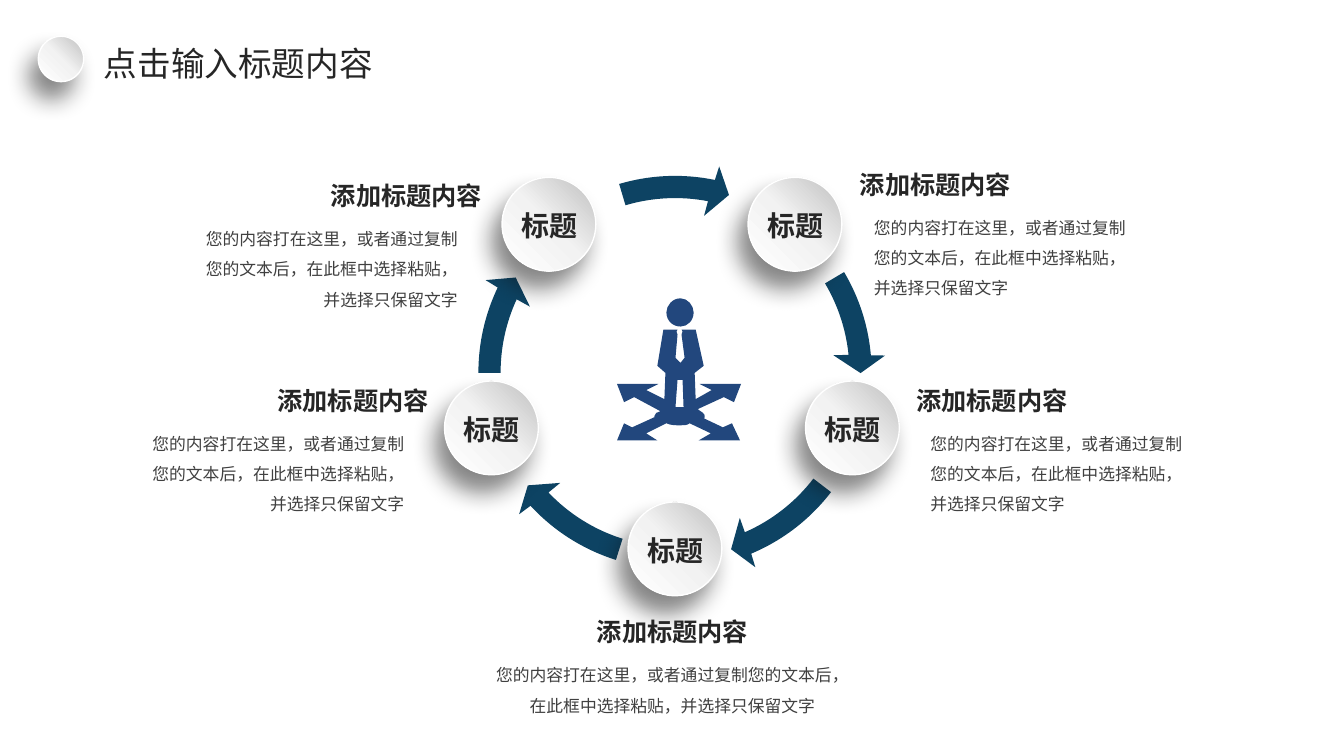
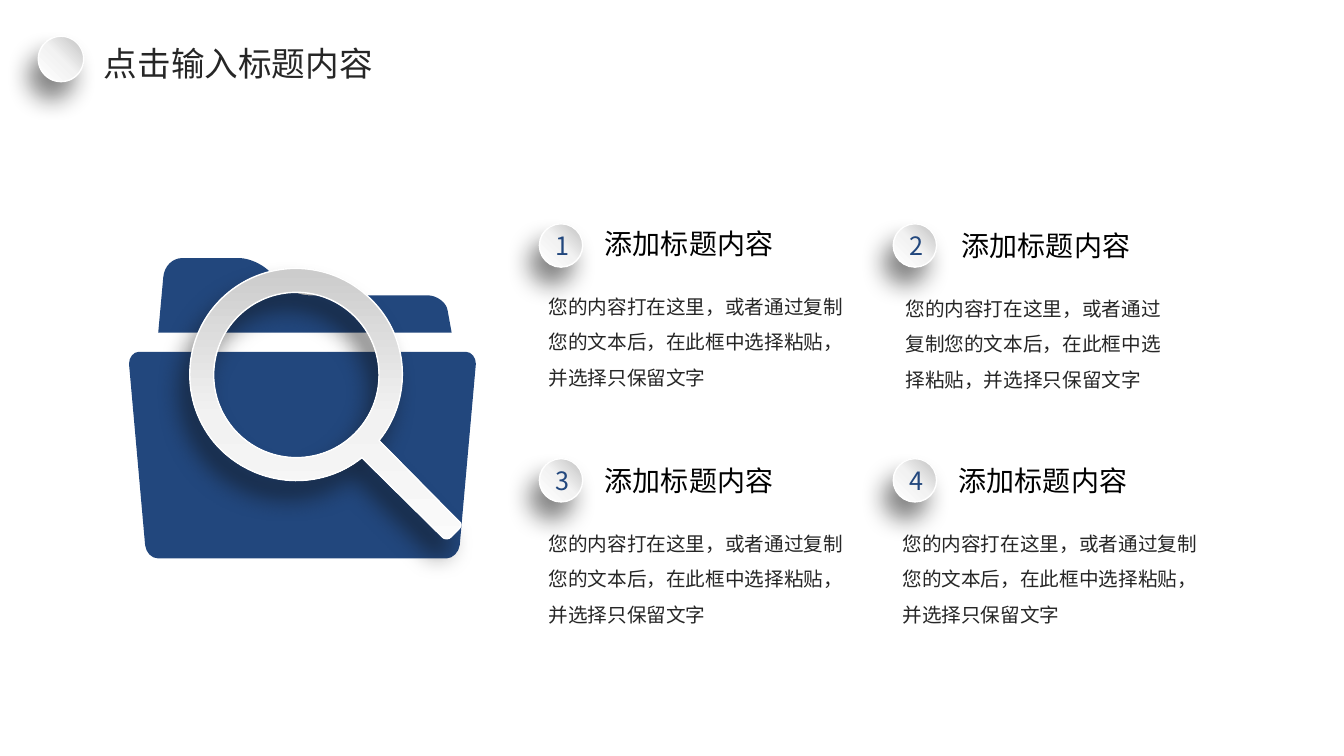
"""Build a five-step cycle slide and a four-point search slide."""
from copy import deepcopy
from math import cos, radians, sin, tan

from lxml import etree
from pptx import Presentation
from pptx.dml.color import RGBColor
from pptx.enum import shapes, text
from pptx.oxml import ns
from pptx.util import Inches, Pt

INK = RGBColor(0x26, 0x26, 0x26)
GREY = RGBColor(0x40, 0x40, 0x40)
BLACK = RGBColor(0x00, 0x00, 0x00)
WHITE = RGBColor(0xFF, 0xFF, 0xFF)
NAVY = RGBColor(0x22, 0x47, 0x7D)
TEAL = RGBColor(0x0D, 0x43, 0x63)
STOPS = [(0, RGBColor(0xBF, 0xBF, 0xBF)), (0.5, RGBColor(0xF2, 0xF2, 0xF2)), (1, WHITE)]
FONT = "Noto Sans CJK SC"
LEFT, CENTER, RIGHT = text.PP_ALIGN.LEFT, text.PP_ALIGN.CENTER, text.PP_ALIGN.RIGHT
MIDDLE = text.MSO_ANCHOR.MIDDLE
OVAL = shapes.MSO_SHAPE.OVAL

PAGE_TITLE = "点击输入标题内容"
HEADING = "添加标题内容"
BODY = "您的内容打在这里，或者通过复制您的文本后，在此框中选择粘贴，并选择只保留文字"

SIDES = ("margin_left", "margin_top", "margin_right", "margin_bottom")
TIGHT = dict.fromkeys(SIDES, Inches(0.04))
GROW = {"auto_size": text.MSO_AUTO_SIZE.SHAPE_TO_FIT_TEXT}
TITLE_FRAME = {"margin_left": 0, "margin_right": 0, "margin_top": Inches(0.05),
               "margin_bottom": Inches(0.05), "vertical_anchor": MIDDLE,
               "auto_size": text.MSO_AUTO_SIZE.NONE}


def write(box, words, color, frame, para, font):
    """Put one formatted paragraph into a shape."""
    paragraph = box.text_frame.paragraphs[0]
    span = paragraph.add_run()
    span.text = words
    targets = ((box.text_frame, {"word_wrap": True, **frame}),
               (paragraph, para), (span.font, {"name": FONT, **font}))
    for target, values in targets:
        for name, value in values.items():
            setattr(target, name, value)
    span.font.color.rgb = color
    etree.SubElement(span.font._element, ns.qn("a:ea"), typeface=FONT)


def draw_outline(parent, place, contours, color, rotation=0):
    """Draw closed contours in a frame; a pair is a corner, six numbers are a Bezier curve."""
    left, top, width, height = (Inches(value) for value in place)
    builder = parent.shapes.build_freeform(left, top, scale=1.0)
    builder.add_line_segments(
        [(left + width, top), (left + width, top + height), (left, top + height)])
    shape = builder.convert_to_shape()
    outline = shape._element.spPr.find(".//" + ns.qn("a:path"))
    for command in list(outline):
        outline.remove(command)
    turn = radians(-rotation)
    for contour in contours:
        for index, step in enumerate(contour):
            kind = "moveTo" if index == 0 else "lnTo" if len(step) == 2 else "cubicBezTo"
            command = etree.SubElement(outline, ns.qn("a:" + kind))
            for x, y in zip(step[::2], step[1::2]):
                across = Inches(x) - left - width / 2
                down = Inches(y) - top - height / 2
                local_x = width / 2 + across * cos(turn) - down * sin(turn)
                local_y = height / 2 + across * sin(turn) + down * cos(turn)
                etree.SubElement(command, ns.qn("a:pt"),
                                 x=str(round(local_x)), y=str(round(local_y)))
        etree.SubElement(outline, ns.qn("a:close"))
    shape.rotation = rotation
    shape.shadow.inherit = False
    shape.fill.solid()
    shape.fill.fore_color.rgb = color
    shape.line.fill.background()
    return shape


deck = Presentation()
deck.slide_width, deck.slide_height = Inches(13.33), Inches(7.5)
layout = deck.slide_layouts[5]
title_place = {"left": 1.03, "top": 0.35, "width": 3.1, "height": 0.55}
for name, value in title_place.items():
    setattr(layout.placeholders[0], name, Inches(value))

cycle_page, search_page = pages = [deck.slides.add_slide(layout) for _ in range(2)]
raised = []
for page in pages:
    write(page.shapes.title, PAGE_TITLE, INK, TITLE_FRAME, {"alignment": LEFT}, {"size": Pt(24)})
    raised.append(page.shapes.add_shape(
        OVAL, Inches(0.38), Inches(0.36), Inches(0.45), Inches(0.45)))

wheel = (4.6, 1.6, 4.19, 4.19)
center_x, center_y = 6.695, 3.695
for start, tip in [(-30.7, 0.2), (37.5, 72.4), (107.5, 142.5), (179.9, 210.8), (253.5, 286.9)]:
    neck = tip - 5.2
    inner_neck = tip - 6
    bulge = 4 / 3 * tan(radians(neck - start) / 4)
    inner_bulge = 4 / 3 * tan(radians(inner_neck - start) / 4)
    steps = [[(1.95, start, 0)],
             [(1.95, start, bulge), (1.95, neck, -bulge), (1.95, neck, 0)],
             [(2.09, tip - 4.8, 0)], [(1.84, tip, 0)], [(1.58, tip - 6.4, 0)],
             [(1.73, inner_neck, 0)],
             [(1.73, inner_neck, -inner_bulge), (1.73, start, inner_bulge), (1.73, start, 0)]]
    arrow = []
    for step in steps:
        arrow.append([])
        for radius, angle, pull in step:
            across, down = cos(radians(angle)), sin(radians(angle))
            arrow[-1] += [center_x + radius * (across - pull * down),
                          center_y + radius * (down + pull * across)]
    draw_outline(cycle_page, wheel, [arrow], TEAL)

for left, top in [(4.98, 1.76), (7.42, 1.76), (7.99, 3.78), (4.41, 3.78), (6.23, 4.98)]:
    node = cycle_page.shapes.add_group_shape()
    raised.append(node.shapes.add_shape(
        OVAL, Inches(left), Inches(top), Inches(0.93), Inches(0.93)))
    box = node.shapes.add_textbox(
        Inches(left + 0.09), Inches(top + 0.26), Inches(0.76), Inches(0.44))
    write(box, "标题", INK, {**GROW, "word_wrap": False}, {"alignment": CENTER},
          {"size": Pt(20), "bold": True})

body_place = {LEFT: (0.14, 2.77, 1.01), CENTER: (-0.64, 3.78, 0.71), RIGHT: (-0.54, 2.8, 1.01)}
for left, top, side in [(8.43, 1.63, LEFT), (8.99, 3.77, LEFT), (5.42, 6.07, CENTER),
                        (1.85, 3.77, RIGHT), (2.38, 1.74, RIGHT)]:
    box = cycle_page.shapes.add_textbox(Inches(left), Inches(top), Inches(2.5), Inches(0.4))
    write(box, HEADING, INK, GROW, {"alignment": side}, {"size": Pt(18), "bold": True})
    shift, width, height = body_place[side]
    box = cycle_page.shapes.add_textbox(
        Inches(left + shift), Inches(top + 0.38), Inches(width), Inches(height))
    write(box, BODY, GREY, GROW, {"alignment": side, "line_spacing": 1.5}, {"size": Pt(12)})

head = [
    (6.75, 2.96), (6.67, 2.96, 6.61, 3.03, 6.61, 3.1), (6.61, 3.18, 6.67, 3.24, 6.75, 3.24),
    (6.82, 3.24, 6.88, 3.18, 6.88, 3.1), (6.88, 3.03, 6.82, 2.96, 6.75, 2.96)]
figure = [
    (6.19, 3.99), (6.29, 3.94), (6.55, 4.08), (6.52, 4.09, 6.49, 4.1, 6.49, 4.13),
    (6.49, 4.14), (6.27, 4.24), (6.19, 4.2), (6.12, 4.37), (6.52, 4.37), (6.41, 4.3), (6.61, 4.2),
    (6.65, 4.22, 6.7, 4.22, 6.75, 4.22), (6.78, 4.22, 6.82, 4.22, 6.84, 4.2),
    (7.05, 4.3), (6.93, 4.37), (7.34, 4.37), (7.26, 4.2), (7.17, 4.24), (6.98, 4.15),
    (6.99, 4.15, 6.99, 4.14, 6.99, 4.13), (6.99, 4.1, 6.96, 4.09, 6.92, 4.06),
    (7.18, 3.94), (7.28, 3.99), (7.35, 3.81), (6.94, 3.81), (7.06, 3.87), (6.9, 3.96),
    (6.89, 3.7), (6.98, 3.63), (6.9, 3.27), (6.76, 3.27), (6.77, 3.29), (6.76, 3.32),
    (6.79, 3.55), (6.75, 3.6), (6.7, 3.55), (6.72, 3.32), (6.71, 3.29), (6.72, 3.27),
    (6.58, 3.27), (6.52, 3.63), (6.6, 3.7), (6.59, 3.96), (6.41, 3.87), (6.53, 3.81), (6.12, 3.81)]
leg_gap = [
    (6.75, 4.04), (6.72, 4.04, 6.71, 4.04, 6.7, 4.04), (6.72, 3.77), (6.77, 3.77), (6.78, 4.04)]
draw_outline(cycle_page, (6.12, 2.96, 1.24, 1.4), [head, figure, leg_gap], NAVY)

points = [(5.96, 2.21, 3.05), (9.5, 2.23, 2.77), (5.96, 4.56, 3.05), (9.47, 4.56, 3.05)]
for index, (left, top, width) in enumerate(points):
    row, column = divmod(index, 2)
    box = search_page.shapes.add_textbox(
        Inches(left - 0.56), Inches(top + 0.56), Inches(width), Inches(1.32))
    write(box, BODY, INK, TIGHT, {"line_spacing": 1.5}, {"size": Pt(14)})
    box = search_page.shapes.add_textbox(Inches(left), Inches(top), Inches(2.04), Inches(0.41))
    write(box, HEADING, BLACK, {**TIGHT, "vertical_anchor": MIDDLE, "word_wrap": False},
          {"alignment": LEFT}, {"size": Pt(20)})
    ball = search_page.shapes.add_shape(
        OVAL, Inches(5.35 + column * 3.51), Inches(2.22 + row * 2.33), Inches(0.43), Inches(0.43))
    write(ball, str(index + 1), NAVY, {"vertical_anchor": MIDDLE}, {"alignment": CENTER},
          {"size": Pt(18)})
    raised.append(ball)

folder_front = [
    (4.62, 3.49), (1.38, 3.49), (1.32, 3.49, 1.28, 3.55, 1.28, 3.61), (1.44, 5.41),
    (1.45, 5.48, 1.5, 5.54, 1.57, 5.54), (4.43, 5.54), (4.49, 5.54, 4.55, 5.48, 4.56, 5.41),
    (4.72, 3.61), (4.72, 3.55, 4.68, 3.49, 4.62, 3.49)]
folder_back = [
    (4.44, 3.08), (4.43, 3, 4.33, 2.93, 4.24, 2.93), (3.06, 2.93),
    (2.97, 2.93, 2.84, 2.87, 2.77, 2.8), (2.67, 2.69), (2.6, 2.62, 2.47, 2.56, 2.37, 2.56),
    (1.81, 2.56), (1.71, 2.56, 1.63, 2.64, 1.62, 2.75), (1.57, 3.3), (4.48, 3.3)]
lens = [
    (3.52, 3.14), (3.2, 2.82, 2.68, 2.82, 2.36, 3.14), (2.04, 3.46, 2.04, 3.98, 2.36, 4.3),
    (2.68, 4.62, 3.2, 4.62, 3.52, 4.3), (3.84, 3.98, 3.84, 3.46, 3.52, 3.14)]
rim = [
    (3.76, 4.37), (4.55, 5.17), (4.58, 5.19, 4.58, 5.22, 4.55, 5.25), (4.47, 5.33),
    (4.45, 5.35, 4.41, 5.35, 4.39, 5.33), (3.59, 4.54), (3.18, 4.87, 2.58, 4.84, 2.19, 4.46),
    (1.78, 4.05, 1.78, 3.38, 2.19, 2.97), (2.6, 2.56, 3.27, 2.56, 3.68, 2.97),
    (4.07, 3.35, 4.09, 3.96, 3.76, 4.37)]
search_icon = search_page.shapes.add_group_shape()
draw_outline(search_icon, (1.28, 2.56, 3.44, 2.98), [folder_front, folder_back], NAVY)
raised.append(draw_outline(search_icon, (2.3, 2.49, 2.11, 3.28), [lens, rim], WHITE, 315))

for shape in raised:
    shape.fill.gradient()
    shape.fill.gradient_angle = 225
    properties = shape._element.spPr
    stop_list = properties.find(".//" + ns.qn("a:gsLst"))
    stop_list.append(deepcopy(stop_list[0]))
    for stop, (position, color) in zip(shape.fill.gradient_stops, STOPS):
        stop.position = position
        stop.color.rgb = color
    shape.line.color.rgb = WHITE
    shape.line.width = Pt(1)
    shape.shadow.inherit = False
    effects = properties.find(ns.qn("a:effectLst"))
    shadow = etree.SubElement(effects, ns.qn("a:outerShdw"), blurRad=str(Pt(17)),
                              dist=str(Pt(14)), dir=str(120 * 60000), rotWithShape="0")
    tint = etree.SubElement(shadow, ns.qn("a:srgbClr"), val="0D0D0D")
    etree.SubElement(tint, ns.qn("a:alpha"), val="50000")

deck.save("out.pptx")
